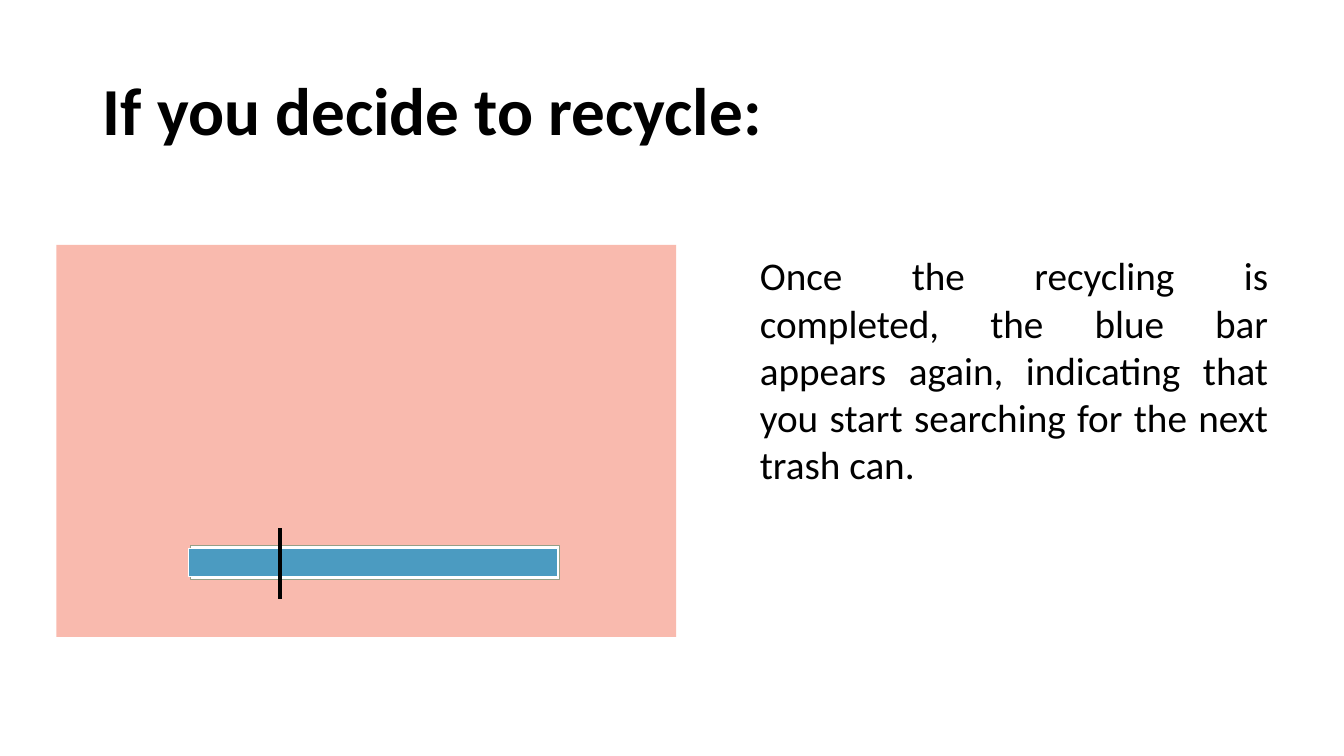
from dataclasses import dataclass
from typing import Optional

from lxml.etree import SubElement
from pptx import Presentation
from pptx.dml.color import RGBColor
from pptx.enum.shapes import MSO_CONNECTOR, MSO_SHAPE
from pptx.enum.text import MSO_ANCHOR, MSO_AUTO_SIZE, PP_ALIGN
from pptx.oxml.ns import qn
from pptx.slide import Slide
from pptx.text.text import TextFrame
from pptx.util import Cm, Pt


@dataclass(frozen=True)
class Theme:
    font: str = "Calibri"
    title: int = 48
    body: int = 28
    ink: str = "000000"
    paper: str = "FFFFFF"
    panel: str = "F9BAAE"
    edge: str = "94A088"
    bar: str = "4B9BC1"
    thin: int = 1
    thick: int = 3


@dataclass(frozen=True)
class Box:
    left: float
    top: float
    width: float
    height: float
    fill: str
    line: Optional[str] = None


THEME = Theme()
BOXES = (
    Box(1.42, 6.17, 15.62, 9.88, THEME.panel),
    Box(4.8, 13.74, 9.3, 0.86, THEME.paper, THEME.edge),
    Box(4.75, 13.82, 9.3, 0.71, THEME.bar, THEME.paper),
)


def color(code: str) -> RGBColor:
    return RGBColor.from_string(code)


def write(frame: TextFrame, text: str, size: int, align: PP_ALIGN, bold: bool = False) -> None:
    frame.word_wrap = True
    para = frame.paragraphs[0]
    para.alignment = align
    run = para.add_run()
    run.text = text
    run.font.name = THEME.font
    run.font.size = Pt(size)
    run.font.bold = bold
    run.font.color.rgb = color(THEME.ink)


def head(slide: Slide, text: str) -> None:
    title = slide.shapes.title
    title.left, title.top, title.width, title.height = Cm(2.34), Cm(1.02), Cm(29.21), Cm(3.68)
    frame = title.text_frame
    frame.auto_size = MSO_AUTO_SIZE.NONE
    frame.vertical_anchor = MSO_ANCHOR.MIDDLE
    write(frame, text, THEME.title, PP_ALIGN.LEFT, bold=True)
    frame.paragraphs[0].line_spacing = 0.9


def note(slide: Slide, text: str) -> None:
    shape = slide.shapes.add_textbox(Cm(18.9), Cm(6.22), Cm(13.31), Cm(7.44))
    write(shape.text_frame, text, THEME.body, PP_ALIGN.JUSTIFY)
    shape.text_frame.auto_size = MSO_AUTO_SIZE.SHAPE_TO_FIT_TEXT


def draw(slide: Slide, box: Box) -> None:
    shape = slide.shapes.add_shape(
        MSO_SHAPE.RECTANGLE, Cm(box.left), Cm(box.top), Cm(box.width), Cm(box.height)
    )
    shape.shadow.inherit = False
    shape.fill.solid()
    shape.fill.fore_color.rgb = color(box.fill)
    if box.line:
        shape.line.color.rgb = color(box.line)
        shape.line.width = Pt(THEME.thin)
    else:
        shape.line.fill.background()


def mark(slide: Slide, left: float, top: float, end: float) -> None:
    line = slide.shapes.add_connector(
        MSO_CONNECTOR.STRAIGHT, Cm(left), Cm(top), Cm(left), Cm(end)
    )
    line.line.color.rgb = color(THEME.ink)
    line.line.width = Pt(THEME.thick)
    SubElement(line._element.spPr, qn("a:effectLst"))


def main() -> None:
    """Build the recycling instruction slide."""
    deck = Presentation()
    deck.slide_width, deck.slide_height = Cm(33.87), Cm(19.05)
    slide = deck.slides.add_slide(deck.slide_layouts.get_by_name("Title Only"))
    slide.background.fill.solid()
    slide.background.fill.fore_color.rgb = color(THEME.paper)
    head(slide, "If you decide to recycle:")
    note(
        slide,
        "Once the recycling is completed, the blue bar appears again, "
        "indicating that you start searching for the next trash can.",
    )
    for box in BOXES:
        draw(slide, box)
    mark(slide, 7.06, 13.31, 15.09)
    deck.save("out.pptx")


if __name__ == "__main__":
    main()
